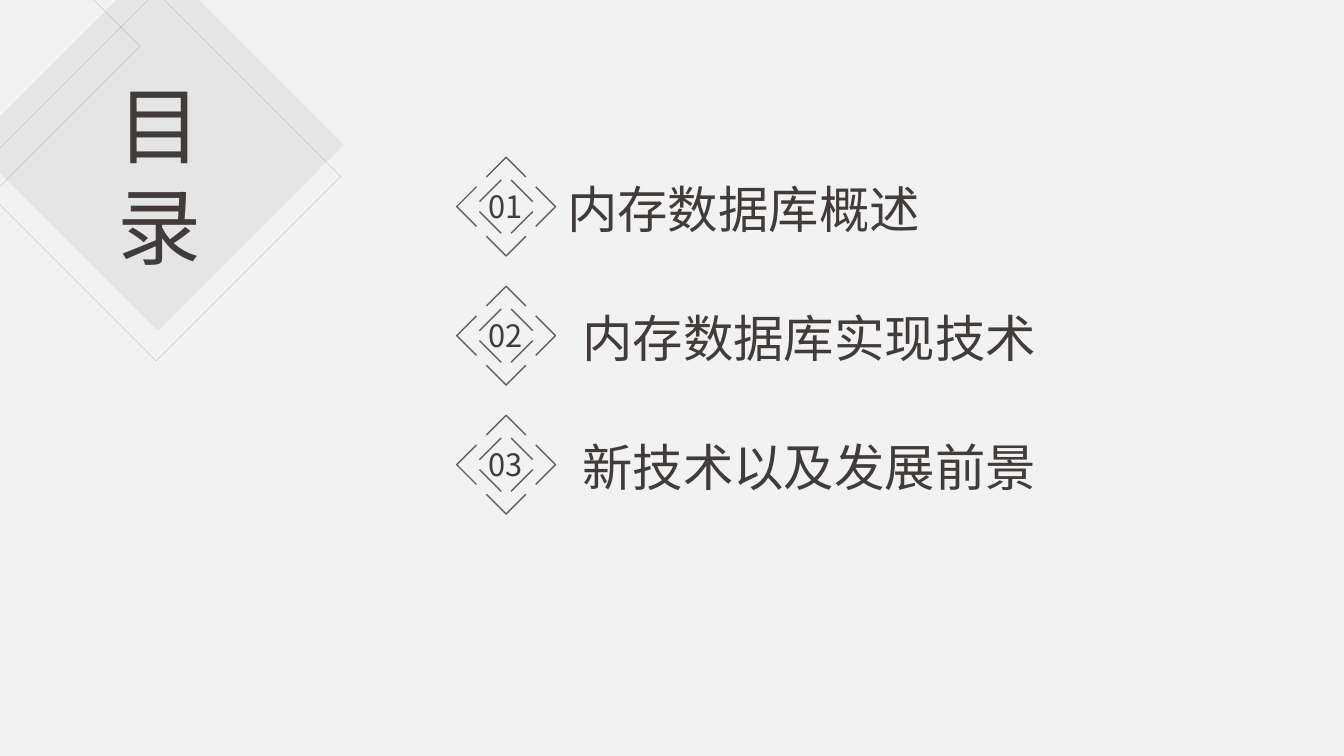
from lxml.etree import SubElement
from pptx import Presentation
from pptx.dml.color import RGBColor
from pptx.enum.shapes import MSO_CONNECTOR, MSO_SHAPE
from pptx.enum.text import MSO_ANCHOR, PP_ALIGN
from pptx.oxml.ns import qn
from pptx.util import Inches, Pt

FONT = "Noto Sans CJK SC"
INK, BADGE_LINE, GREY, PALE, PAPER = "413B39", "616161", "808080", "A6A6A6", "F2F2F2"
TOPICS = [("内存数据库概述", 3.77), ("内存数据库实现技术", 5.07), ("新技术以及发展前景", 5.07)]
PITCH = 1.28
BADGE_SIZE = 0.98


def color(hex_text):
    """Turn a hex string into a colour."""
    return RGBColor.from_string(hex_text)


def set_opacity(fill, percent):
    """Make a solid fill partly transparent."""
    node = fill._xPr.find(qn("a:solidFill"))[0]
    SubElement(node, qn("a:alpha"), val=str(percent * 1000))


def style_shape(shape, fill=None, line=None, width=1, opacity=100):
    """Give a shape either a plain fill or an outline."""
    shape.shadow.inherit = False
    if fill:
        shape.fill.solid()
        shape.fill.fore_color.rgb = color(fill)
        shape.line.fill.background()
        set_opacity(shape.fill, opacity)
    else:
        shape.fill.background()
        shape.line.color.rgb = color(line)
        shape.line.width = Pt(width)
        set_opacity(shape.line.fill, opacity)


def add_outline(shapes, points, close, **style):
    """Draw a freeform through points given in inches."""
    corners = [(Inches(x), Inches(y)) for x, y in points]
    builder = shapes.build_freeform(*corners[0])
    builder.add_line_segments(corners[1:], close=close)
    style_shape(builder.convert_to_shape(), **style)


def add_stroke(shapes, start, end):
    """Draw one straight badge line."""
    ends = [Inches(value) for value in (*start, *end)]
    line = shapes.add_connector(MSO_CONNECTOR.STRAIGHT, *ends)
    line.line.color.rgb = color(BADGE_LINE)
    line.line.width = Pt(1)
    SubElement(line._element.spPr, qn("a:effectLst"))


def add_label(shapes, box, text, size, spacing=None):
    """Place centred text in a box of left, top, width and height."""
    frame = shapes.add_textbox(*map(Inches, box)).text_frame
    frame.word_wrap = True
    frame.vertical_anchor = MSO_ANCHOR.MIDDLE
    para = frame.paragraphs[0]
    para.text = text
    para.alignment = PP_ALIGN.CENTER
    para.font.name = FONT
    para.font.size = Pt(size)
    para.font.color.rgb = color(INK)
    if spacing:
        para.line_spacing = Pt(spacing)


def add_title(page, left, top, size):
    """Build the corner diamonds and the stacked title."""
    outline = dict(line=GREY, width=0.25, opacity=48)

    def add_diamond(x, y, side, **style):
        box = map(Inches, (x, y, side, side))
        style_shape(page.shapes.add_shape(MSO_SHAPE.DIAMOND, *box), **style)

    add_diamond(left, top, size, fill=PALE, opacity=16)
    edge, middle, reach = left + 0.26, top + 0.87, 1.41
    corner = [(edge, middle - reach), (edge + reach, middle), (edge, middle + reach)]
    add_outline(page.shapes, corner, True, **outline)
    add_diamond(left, top + 0.33, size - 0.03, **outline)
    add_label(page.shapes, (left + 1.26, top + 1.08, 1.21, 2.12), "目录", 60, 72)


def add_badge(page, left, top, size, number):
    """Build a numbered diamond from four turned chevrons and strokes."""
    shapes = page.shapes.add_group_shape().shapes
    center_x, center_y = left + size / 2, top + size / 2
    chevron = [(-0.2, -0.3), (0, -0.5), (0.2, -0.3)]
    stroke = [(0.05, -0.27), (0.27, -0.05)]

    def place(points):
        return [(center_x + x * size, center_y + y * size) for x, y in points]

    for _ in range(4):
        add_outline(shapes, place(chevron), False, line=BADGE_LINE)
        add_stroke(shapes, *place(stroke))
        chevron, stroke = ([(-y, x) for x, y in points] for points in (chevron, stroke))
    add_label(shapes, (center_x - 0.38, center_y - 0.24, 0.75, 0.47), f"{number:02d}", 22)


def add_topics(page, left, top):
    """List the numbered topics at an equal pitch."""
    for index, (topic, width) in enumerate(TOPICS):
        row = top + index * PITCH
        add_badge(page, left, row, BADGE_SIZE, index + 1)
        add_label(page.shapes, (left + 0.96, row + 0.15, width, 0.71), topic, 36)


def build_contents(deck):
    """Add the contents slide."""
    page = deck.slides.add_slide(deck.slide_layouts[6])
    page.background.fill.solid()
    page.background.fill.fore_color.rgb = color(PAPER)
    add_title(page, -0.28, -0.41, 3.69)
    add_topics(page, 4.53, 1.56)


deck = Presentation()
deck.slide_width, deck.slide_height = Inches(13.33), Inches(7.5)
build_contents(deck)
deck.save("out.pptx")
